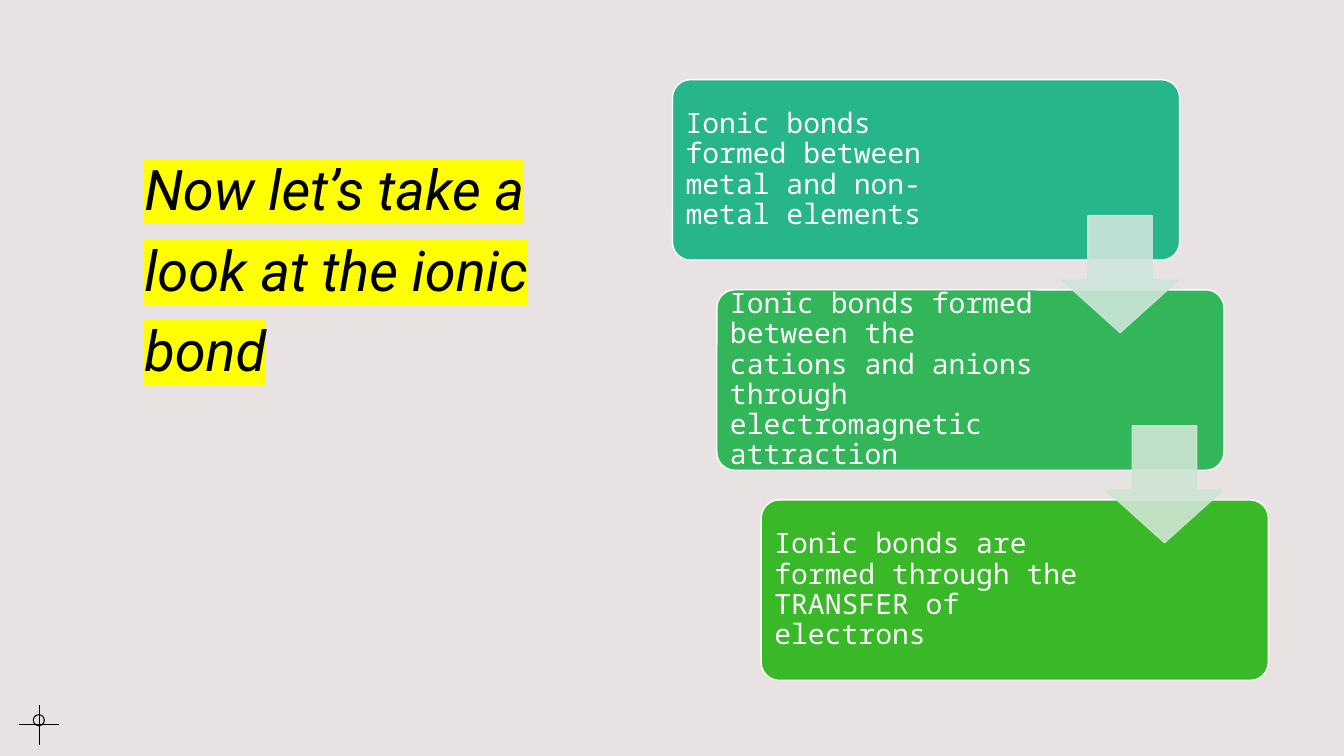
from lxml import etree
from pptx import Presentation
from pptx.dml.color import RGBColor
from pptx.enum.shapes import MSO_CONNECTOR as Line, MSO_SHAPE as Shape
from pptx.enum.text import MSO_ANCHOR as Anchor
from pptx.oxml.ns import qn
from pptx.util import Inches, Pt

WIDTH, HEIGHT = 13.33, 7.5
STEP_RIGHT, STEP_DOWN = 0.88 / 2, 4.17 / 2
CARD_LEFT, CARD_TOP, CARD_WIDTH, CARD_HEIGHT = 6.67, 0.79, 5.03, 1.79
ARROW_LEFT, ARROW_TOP, ARROW_SIZE = 10.53, 2.14, 1.16
TEXT_INSET = 0.05

# Fill colour, text width and wording of each card
CARDS = [
    ("27B58C", 3.1, "Ionic bonds formed between metal and non-metal elements"),
    ("33B65A", 3.32, "Ionic bonds formed between the cations and anions "
                     "through electromagnetic attraction"),
    ("39B928", 3.32, "Ionic bonds are formed through the TRANSFER of electrons"),
]
ARROW_COLORS = ["CDE5DA", "CEE5D2"]


def rgb(color):
    return RGBColor.from_string(color)


def box(*lengths):
    return [Inches(length) for length in lengths]


def add_color_child(parent, tag, color):
    child = etree.SubElement(parent, qn(tag))
    etree.SubElement(child, qn("a:srgbClr")).set("val", color)


def add_outlined(slide, kind, place, fill, line, width, adjustments=()):
    shape = slide.shapes.add_shape(kind, *box(*place))
    shape.shadow.inherit = False
    for index, value in enumerate(adjustments):
        shape.adjustments[index] = value
    if fill:
        shape.fill.solid()
        shape.fill.fore_color.rgb = rgb(fill)
    else:
        shape.fill.background()
    shape.line.color.rgb = rgb(line)
    shape.line.width = Pt(width)
    return shape


def add_text(slide, place, words, font, size, color, spacing, inset=None):
    frame = slide.shapes.add_textbox(*box(*place)).text_frame
    frame.word_wrap = True
    if inset is not None:
        frame.margin_left = frame.margin_right = Inches(inset)
        frame.margin_top = frame.margin_bottom = Inches(inset)
    paragraph = frame.paragraphs[0]
    paragraph.text = words
    paragraph.line_spacing = spacing
    paragraph.font.name = font
    paragraph.font.size = Pt(size)
    paragraph.font.color.rgb = rgb(color)
    return frame


def add_title(slide):
    frame = add_text(slide, (WIDTH * 0.1, HEIGHT * 0.18, 4.5, 4.81),
                     "Now let’s take a look at the ionic bond",
                     "Roboto", 40, "000000", 1.2)
    paragraph = frame.paragraphs[0]
    paragraph.font.italic = True
    run_properties = paragraph.runs[0].font._element
    add_color_child(run_properties, "a:highlight", "FFFF00")


def add_hairline(slide, *ends):
    line = slide.shapes.add_connector(Line.STRAIGHT, *box(*ends))
    line.line.color.rgb = rgb("000000")
    line.line.width = Pt(0.75)
    etree.SubElement(line._element.spPr, qn("a:effectLst"))


def add_crosshair(slide, x, y, arm):
    add_hairline(slide, x - arm, y, x + arm, y)
    add_hairline(slide, x, y + arm, x, y - arm)
    add_outlined(slide, Shape.OVAL, (x - 0.06, y - 0.1, 0.11, 0.11),
                 None, "000000", 0.75)


def add_card(slide, row, color, text_width, words):
    left = CARD_LEFT + row * STEP_RIGHT
    top = CARD_TOP + row * STEP_DOWN
    add_outlined(slide, Shape.ROUNDED_RECTANGLE,
                 (left, top, CARD_WIDTH, CARD_HEIGHT), color, "FFFFFF", 1, [0.1])
    frame = add_text(slide, (left + TEXT_INSET, top + TEXT_INSET, text_width,
                             CARD_HEIGHT - 2 * TEXT_INSET),
                     words, "Noto Sans Mono", 20, "FFFFFF", 0.9, 0.08)
    frame.vertical_anchor = Anchor.MIDDLE
    frame.paragraphs[0].space_after = Pt(7)


def add_step_arrow(slide, row, color):
    place = (ARROW_LEFT + row * STEP_RIGHT, ARROW_TOP + row * STEP_DOWN,
             ARROW_SIZE, ARROW_SIZE)
    arrow = add_outlined(slide, Shape.DOWN_ARROW, place, color, color, 1,
                         [0.55, 0.45])
    for tint in arrow._element.spPr.iter(qn("a:srgbClr")):
        etree.SubElement(tint, qn("a:alpha")).set("val", "90000")


def main():
    deck = Presentation()
    deck.slide_width, deck.slide_height = box(WIDTH, HEIGHT)
    slide = deck.slides.add_slide(deck.slide_layouts[6])
    slide.background.fill.solid()
    slide.background.fill.fore_color.rgb = rgb("E8E3E2")

    add_title(slide)
    add_crosshair(slide, 0.39, 7.19, 0.2)
    for row, card in enumerate(CARDS):
        add_card(slide, row, *card)
    for row, color in enumerate(ARROW_COLORS):
        add_step_arrow(slide, row, color)
    deck.save("out.pptx")


if __name__ == "__main__":
    main()
